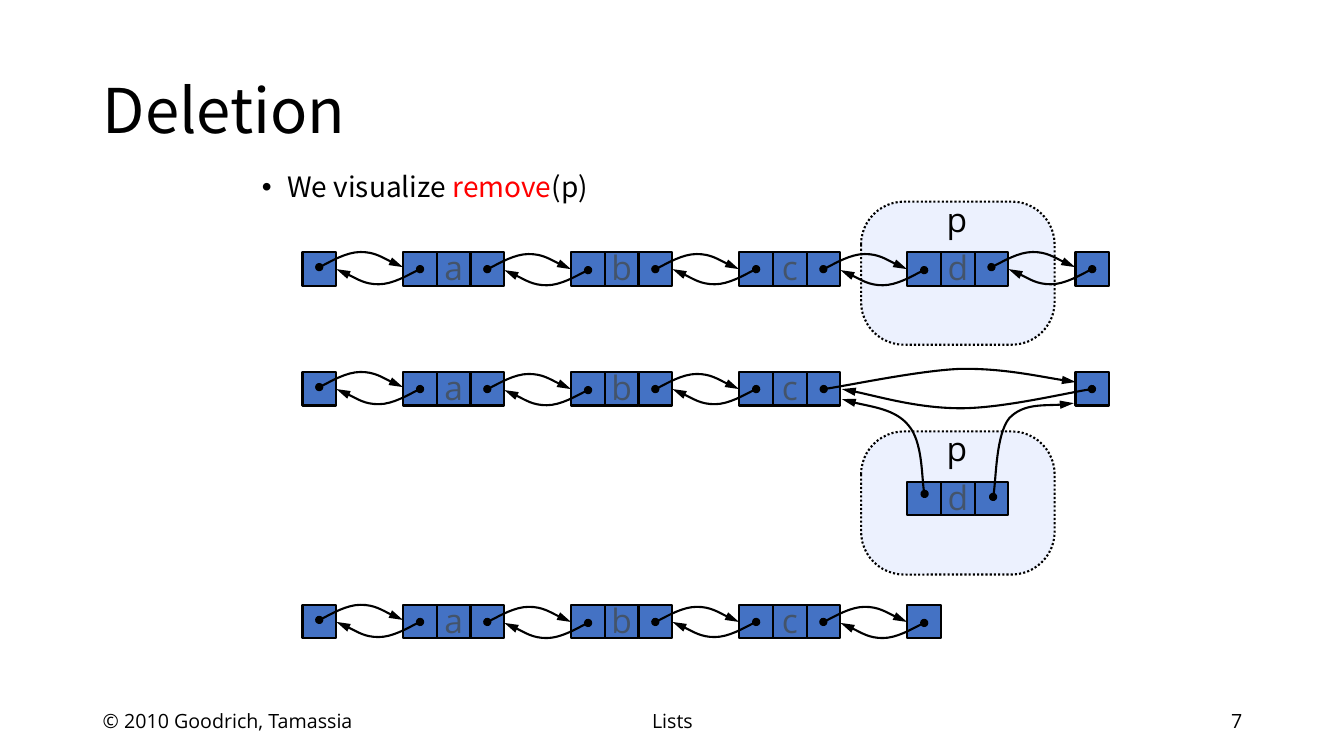
from lxml.etree import SubElement
from pptx import Presentation
from pptx.dml.color import RGBColor
from pptx.enum.dml import MSO_LINE
from pptx.enum.shapes import MSO_SHAPE
from pptx.enum.text import MSO_ANCHOR, PP_ALIGN
from pptx.oxml.ns import qn
from pptx.util import Inches, Pt

BLACK = RGBColor(0x00, 0x00, 0x00)
RED = RGBColor(0xFF, 0x00, 0x00)
BLUE = RGBColor(0x44, 0x72, 0xC4)
SLATE = RGBColor(0x44, 0x54, 0x6A)
PALE = RGBColor(0xEC, 0xF1, 0xFE)
HEADING, BODY = "Noto Sans CJK KR", "Open Sans"

CELL = 1 / 3     # side of one square of a node
PITCH = 5 / 3    # distance from one node to the next
FORWARD = [(0, 0), (.07, -.03), (.27, -.15), (.41, -.15), (.55, -.15), (.75, -.03), (.83, 0)]
BACKWARD = [(-x, -y) for x, y in FORWARD]

# Relinking curves, relative to the top left of the list
SKIP_NEXT = [(5.17, .17), (5.39, .14), (6.1, -.01), (6.51, -.03), (6.93, -.04), (7.43, .07), (7.67, .1)]
SKIP_PREV = [(7.83, .17), (7.61, .2), (6.94, .36), (6.53, .36), (6.11, .36), (5.59, .21), (5.35, .17)]
OLD_PREV = [(6.17, 1.21), (6.14, 1.1), (6.15, .69), (6.01, .53), (5.88, .37), (5.49, .32), (5.35, .27)]
OLD_NEXT = [(6.85, 1.24), (6.88, 1.11), (6.88, .62), (7.01, .46), (7.15, .31), (7.52, .34), (7.65, .31)]


def set_format(obj, values):
    """Set every attribute in the dict on the object."""
    for name, value in values.items():
        setattr(obj, name, value)


def fill_text(tf, runs, font, size, para=None, anchor=MSO_ANCHOR.TOP, wrap=True):
    """Write one paragraph of (text, colour) runs and return it."""
    set_format(tf, {"word_wrap": wrap, "vertical_anchor": anchor})
    p = tf.paragraphs[0]
    set_format(p, para or {})
    for text, colour in runs:
        r = p.add_run()
        r.text = text
        set_format(r.font, {"name": font, "size": Pt(size)})
        r.font.color.rgb = colour
    return p


def add_text(s, box, *args, **kwargs):
    """Add a text box at box and return its paragraph."""
    return fill_text(s.shapes.add_textbox(*map(Inches, box)).text_frame, *args, **kwargs)


def style_line(sp):
    """Give a shape a thin black outline and no shadow."""
    sp.shadow.inherit = False
    sp.line.color.rgb = BLACK
    sp.line.width = Pt(1.5)


def add_box(s, kind, box, colour):
    """Add an outlined, filled preset shape."""
    sp = s.shapes.add_shape(kind, *map(Inches, box))
    sp.fill.solid()
    sp.fill.fore_color.rgb = colour
    style_line(sp)
    return sp


def add_curve(s, x, y, points):
    """Draw a Bezier arrow through points given relative to (x, y)."""
    pts = [(Inches(x + dx), Inches(y + dy)) for dx, dy in points]
    builder = s.shapes.build_freeform(*pts[0])
    builder.add_line_segments(pts[1:], close=False)
    sp = builder.convert_to_shape()
    sp.fill.background()
    style_line(sp)
    segments = sp._element.xpath(".//a:lnTo")
    for i in range(0, len(segments), 3):
        curve = SubElement(segments[i].getparent(), qn("a:cubicBezTo"))
        for segment in segments[i:i + 3]:
            curve.append(segment[0])
            segment.getparent().remove(segment)
    ln = sp._element.spPr.find(qn("a:ln"))
    SubElement(ln, qn("a:headEnd"), type="oval")
    SubElement(ln, qn("a:tailEnd"), type="triangle", w="med", len="lg")


def add_cells(s, x, y, count):
    """Draw a run of square cells."""
    for i in range(count):
        add_box(s, MSO_SHAPE.RECTANGLE, (x + i * CELL, y, CELL, CELL), BLUE)


def add_letter(s, x, y, letter, colour):
    """Write one centred letter."""
    add_text(s, (x, y, .4, .5), [(letter, colour)], BODY, 24,
             {"alignment": PP_ALIGN.CENTER}, wrap=False)


def add_node(s, x, y, letter):
    """Draw a three-cell node with its element."""
    add_cells(s, x, y, 3)
    add_letter(s, x + .3, y - .1, letter, SLATE)


def add_position(s, x, y):
    """Draw the dotted region of position p."""
    sp = add_box(s, MSO_SHAPE.ROUNDED_RECTANGLE, (x, y, 1.92, 1.42), PALE)
    sp.adjustments[0] = .3
    sp.line.dash_style = MSO_LINE.ROUND_DOT
    add_letter(s, x + .75, y - .08, "p", BLACK)


def add_list(s, x, y, letters, hops):
    """Draw a list between its sentinels, with the first hops linked both ways."""
    add_cells(s, x, y, 1)
    for i, letter in enumerate(letters):
        add_node(s, x + 1 + i * PITCH, y, letter)
    add_cells(s, x + (1 + 4 * PITCH if hops < 4 and hops == len(letters)
                      else 1 + len(letters) * PITCH), y, 1)
    add_links(s, x, y, hops)


def add_links(s, x, y, hops):
    """Draw the forward and backward arrows of each hop."""
    for i in range(hops):
        left = x + CELL / 2 + i * PITCH
        add_curve(s, left, y + (.15 if i in (0, 4) else .17), FORWARD)
        add_curve(s, left + 1, y + (.18 if i % 2 else .17), BACKWARD)


def add_unlinking(s, x, y):
    """Draw the list while node d is being bypassed."""
    add_position(s, x + 5.54, y + .59)
    add_list(s, x, y, "abc", 3)
    add_node(s, x + 1 + 3 * PITCH, y + 1.09, "d")
    for points in (SKIP_NEXT, SKIP_PREV, OLD_PREV, OLD_NEXT):
        add_curve(s, x, y, points)


def add_heading(s, x, y):
    """Place the title and the bulleted line."""
    title = s.shapes.title
    set_format(title, {"left": Inches(x), "top": Inches(y),
                       "width": Inches(11.5), "height": Inches(1.45)})
    fill_text(title.text_frame, [("Deletion", BLACK)], HEADING, 44,
              {"alignment": PP_ALIGN.LEFT, "line_spacing": .9}, MSO_ANCHOR.MIDDLE)
    p = add_text(s, (x + 1.58, y + 1.27, 8.5, .5),
                 [("We visualize ", BLACK), ("remove", RED), ("(p)", BLACK)],
                 HEADING, 20, {"line_spacing": .9, "space_before": Pt(10)})
    pPr = p._p.get_or_add_pPr()
    pPr.set("marL", str(Inches(.25)))
    pPr.set("indent", str(-Inches(.25)))
    SubElement(pPr, qn("a:buFont"), typeface="Arial")
    SubElement(pPr, qn("a:buChar"), char="\u2022")


def add_footer(s, x, y):
    """Place the credit, topic and slide number."""
    for dx, width, text, align in (
            (0, 3, "\u00a9 2010 Goodrich, Tamassia", PP_ALIGN.LEFT),
            (3.5, 4.5, "Lists", PP_ALIGN.CENTER),
            (8.5, 3, "7", PP_ALIGN.RIGHT)):
        add_text(s, (x + dx, y, width, .4), [(text, BLACK)], BODY, 14,
                 {"alignment": align}, MSO_ANCHOR.MIDDLE)


def build_slide(prs):
    """Build the deletion slide: before, during and after."""
    s = prs.slides.add_slide(prs.slide_layouts[5])
    add_heading(s, .92, .4)
    add_position(s, 8.54, 2)
    add_list(s, 3, 2.5, "abcd", 5)
    add_unlinking(s, 3, 3.69)
    add_list(s, 3, 6, "abc", 4)
    add_footer(s, .92, 6.95)


prs = Presentation()
set_format(prs, {"slide_width": Inches(13.33), "slide_height": Inches(7.5)})
build_slide(prs)
prs.save("out.pptx")
